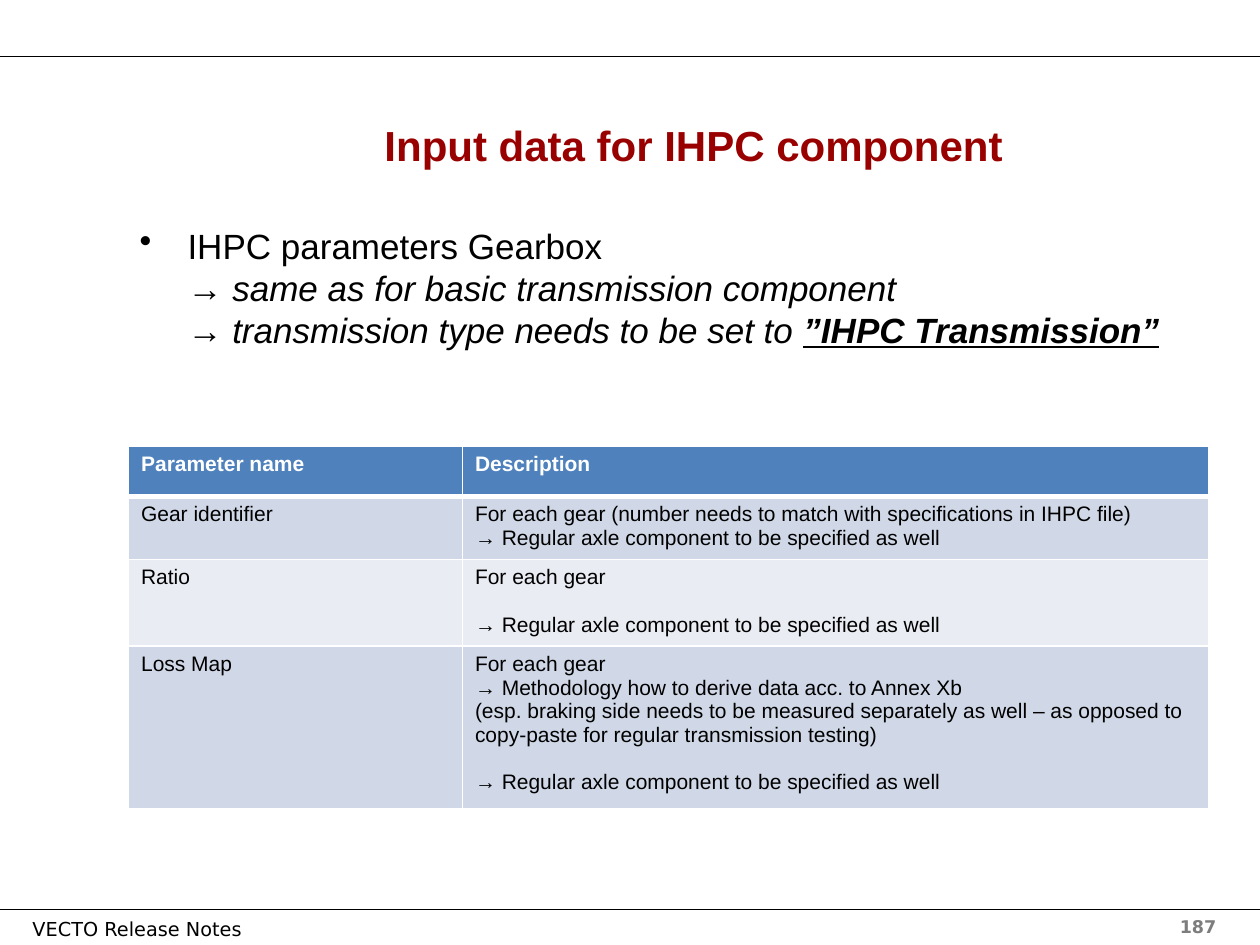
from copy import deepcopy

from lxml.etree import SubElement
from pptx import Presentation
from pptx.dml.color import RGBColor
from pptx.enum.shapes import MSO_CONNECTOR as Connector
from pptx.enum.text import MSO_ANCHOR as Anchor, PP_ALIGN as Align
from pptx.oxml.ns import qn
from pptx.util import Inches, Pt

BLACK, WHITE, RED, GRAY = "000000", "FFFFFF", "990000", "7D7D7D"
HEADER_FILL, ODD_FILL, EVEN_FILL = "4F81BD", "D0D8E7", "E9ECF3"
THIN, THICK = 0.96, 3
LINE_GAP = 13.5
AXLE_NOTE = "→ Regular axle component to be specified as well"
LOSS_NOTE = (
    "→ Methodology how to derive data acc. to Annex Xb\n"
    "(esp. braking side needs to be measured separately as well – as opposed "
    "to copy-paste for regular transmission testing)"
)
ROWS = [
    (0.4, "Parameter name", [("Description", 0)]),
    (0.47, "Gear identifier", [
        ("For each gear (number needs to match with specifications in IHPC file)", 0),
        (AXLE_NOTE, 0),
    ]),
    (0.66, "Ratio", [("For each gear", 0), (AXLE_NOTE, LINE_GAP)]),
    (1.22, "Loss Map", [("For each gear", 0), (LOSS_NOTE, 0), (AXLE_NOTE, LINE_GAP)]),
]


def rgb(color):
    """Turn a hex string into a colour."""
    return RGBColor.from_string(color)


def add_text(para, text, size=12, font="Arial", color=BLACK, bold=False, italic=False,
             underline=False):
    """Add formatted text to a paragraph, with a line break at each newline."""
    for index, line in enumerate(text.split("\n")):
        if index:
            para.add_line_break()
            para._p[-1].append(deepcopy(span._r.rPr))
        span = para.add_run()
        span.text = line
        span.font.size = Pt(size)
        span.font.name = font
        span.font.bold = bold
        span.font.italic = italic
        span.font.underline = underline
        span.font.color.rgb = rgb(color)


def add_box(page, left, top, width, height, anchor=Anchor.TOP, align=Align.LEFT, wrap=True):
    """Add a text box and return its first paragraph."""
    box = page.shapes.add_textbox(Inches(left), Inches(top), Inches(width), Inches(height))
    box.text_frame.word_wrap = wrap
    box.text_frame.vertical_anchor = anchor
    para = box.text_frame.paragraphs[0]
    para.alignment = align
    return para


def add_rule(page, top, width):
    """Draw a thin horizontal line across the page."""
    rule = page.shapes.add_connector(
        Connector.STRAIGHT, 0, Inches(top), Inches(width), Inches(top))
    rule.line.color.rgb = rgb(BLACK)
    rule.line.width = Pt(0.75)
    SubElement(rule._element.spPr, qn("a:effectLst"))


def add_frame(page, width):
    """Draw the header and footer rules, the footer text and the page number."""
    add_rule(page, 0.45, width)
    add_rule(page, 7.22, width)
    number = add_box(page, 8.74, 7.22, 1.01, 0.26, align=Align.RIGHT)
    add_text(number, "187", size=10, font="DejaVu Sans", color=GRAY, bold=True)
    footer = add_box(page, 0.16, 7.25, 2.06, 0.24, anchor=Anchor.MIDDLE, wrap=False)
    add_text(footer, "VECTO Release Notes", size=11, font="DejaVu Sans")


def add_title(page, left, top, width, height):
    """Add the slide title."""
    para = add_box(page, left, top, width, height, anchor=Anchor.MIDDLE, align=Align.CENTER)
    add_text(para, "Input data for IHPC component", size=24, color=RED, bold=True)


def add_body(page, left, top, width, height):
    """Add the bulleted gearbox statement."""
    para = add_box(page, left, top, width, height)
    props = para._p.get_or_add_pPr()
    props.set("marL", str(Inches(0.38)))
    props.set("indent", str(Inches(-0.38)))
    bullet_color = SubElement(props, qn("a:buClr"))
    SubElement(bullet_color, qn("a:srgbClr"), val=BLACK)
    SubElement(props, qn("a:buChar"), char="•")
    add_text(para, "IHPC parameters Gearbox\n→ ", size=20)
    add_text(para, "same as for basic transmission component\n"
             "→ transmission type needs to be set to ", size=20, italic=True)
    add_text(para, "”IHPC Transmission”", size=20, bold=True, italic=True, underline=True)


def set_borders(cell, **widths):
    """Give a cell white borders, with widths by side in points."""
    props = cell._tc.get_or_add_tcPr()
    for side in "LRTB":
        line = SubElement(props, qn(f"a:ln{side}"), w=str(Pt(widths.get(side, THIN))))
        fill = SubElement(line, qn("a:solidFill"))
        SubElement(fill, qn("a:srgbClr"), val=WHITE)


def fill_cell(cell, paragraphs, row):
    """Write and style one table cell according to its row."""
    if row == 0:
        set_borders(cell, B=THICK)
        fill, color = HEADER_FILL, WHITE
    else:
        set_borders(cell, T=THICK if row == 1 else THIN)
        fill, color = (ODD_FILL if row % 2 else EVEN_FILL), BLACK
    cell.fill.solid()
    cell.fill.fore_color.rgb = rgb(fill)
    frame = cell.text_frame
    for index, (text, gap) in enumerate(paragraphs):
        para = frame.add_paragraph() if index else frame.paragraphs[0]
        if gap:
            para.space_before = Pt(gap)
        add_text(para, text, color=color, bold=row == 0)


def add_parameters(page, left, top, widths):
    """Add the table of gearbox parameters."""
    height = sum(row[0] for row in ROWS)
    table = page.shapes.add_table(
        len(ROWS), len(widths), Inches(left), Inches(top),
        Inches(sum(widths)), Inches(height)).table
    for column, width in zip(table.columns, widths):
        column.width = Inches(width)
    for row, (row_height, name, description) in enumerate(ROWS):
        table.rows[row].height = Inches(row_height)
        fill_cell(table.cell(row, 0), [(name, 0)], row)
        fill_cell(table.cell(row, 1), description, row)


def main():
    """Build the slide and save the deck."""
    deck = Presentation()
    deck.slide_width, deck.slide_height = Inches(10), Inches(7.5)
    page = deck.slides.add_slide(deck.slide_layouts[6])
    add_frame(page, 10)
    add_title(page, 1.01, 0.78, 8.99, 0.74)
    add_body(page, 1.01, 1.73, 8.99, 4.97)
    add_parameters(page, 1.02, 3.54, [2.65, 5.92])
    deck.save("out.pptx")


if __name__ == "__main__":
    main()
